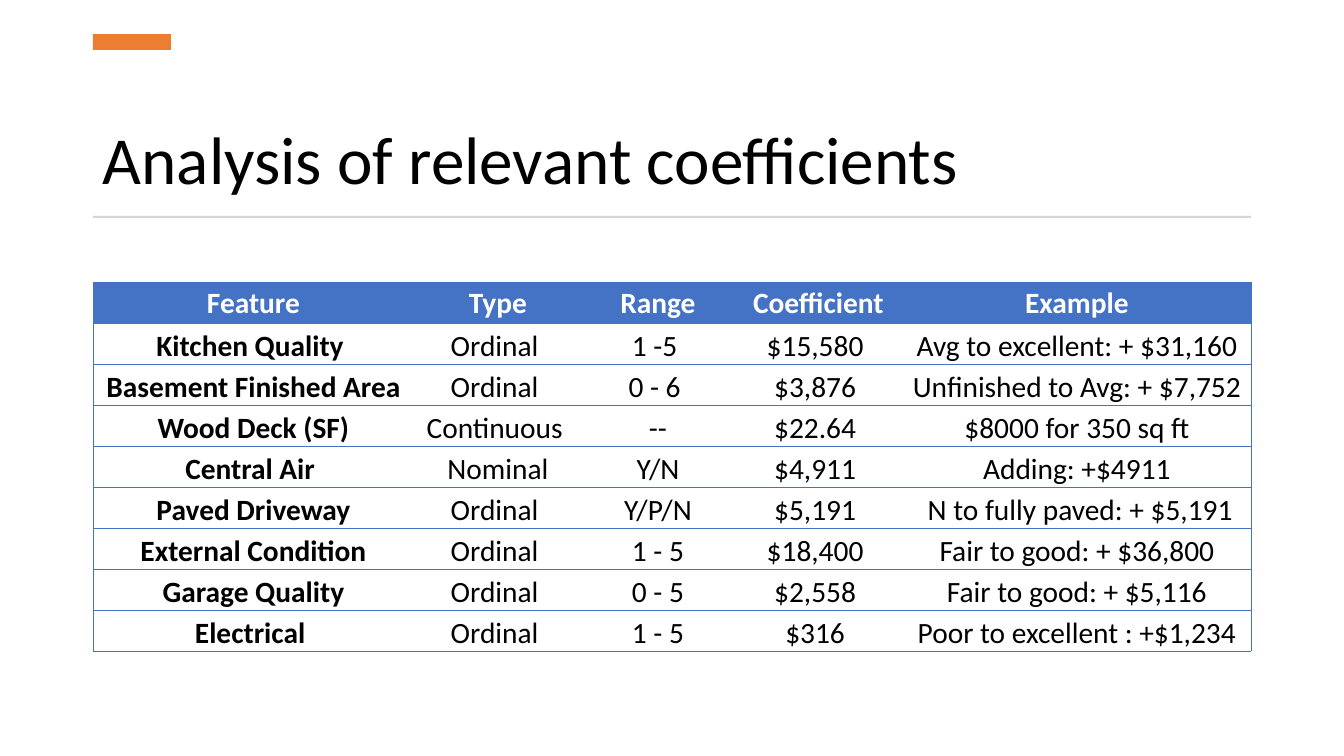
"""Build the slide with the table of relevant coefficients."""
from lxml.etree import SubElement
from pptx import Presentation
from pptx.dml.color import RGBColor
from pptx.enum.shapes import MSO_SHAPE
from pptx.enum.text import MSO_ANCHOR, PP_ALIGN
from pptx.oxml.ns import qn
from pptx.util import Pt

PX = 914400 / 100.8
COLORS = {"text": "000000", "white": "FFFFFF", "accent": "ED7D31",
          "rule": "D5D5D5", "table": "4472C4"}
LEFT, WIDTH, ROW_H = 93, 1158, 41
COL_W = [321, 168, 152, 169, 348]
ROWS = [
    ["Feature", "Type", "Range", "Coefficient", "Example"],
    ["Kitchen Quality ", "Ordinal ", "1 -5 ", "$15,580 ", "Avg to excellent: + $31,160"],
    ["Basement Finished Area", "Ordinal ", "0 - 6 ", "$3,876 ", "Unfinished to Avg: + $7,752"],
    ["Wood Deck (SF)", "Continuous ", "--", "$22.64 ", "$8000 for 350 sq ft"],
    ["Central Air ", "Nominal", "Y/N", "$4,911 ", "Adding: +$4911"],
    ["Paved Driveway", "Ordinal ", "Y/P/N", "$5,191 ", " N to fully paved: + $5,191"],
    ["External Condition", "Ordinal ", "1 - 5", "$18,400 ", "Fair to good: + $36,800"],
    ["Garage Quality", "Ordinal ", "0 - 5", "$2,558 ", "Fair to good: + $5,116"],
    ["Electrical ", "Ordinal ", "1 - 5", "$316 ", "Poor to excellent : +$1,234"],
]


def box(*lengths):
    return [round(n * PX) for n in lengths]


def write(p, text, color, **font):
    r = p.add_run()
    r.text = text
    r.font.color.rgb = RGBColor.from_string(COLORS[color])
    for name, value in {"name": "Calibri", **font}.items():
        setattr(r.font, name, value)


prs = Presentation()
prs.slide_width, prs.slide_height = box(1344, 756)
s = prs.slides.add_slide(prs.slide_layouts[6])

tf = s.shapes.add_textbox(*box(LEFT, 76, WIDTH, 128)).text_frame
tf.word_wrap = True
tf.vertical_anchor = MSO_ANCHOR.BOTTOM
tf.paragraphs[0].line_spacing = 0.9
write(tf.paragraphs[0], "Analysis of relevant coefficients", "text", size=Pt(48))

for color, top, width, height in [("accent", 34, 78, 16), ("rule", 216, WIDTH, 2)]:
    sp = s.shapes.add_shape(MSO_SHAPE.RECTANGLE, *box(LEFT, top, width, height))
    sp.shadow.inherit = False
    sp.fill.solid()
    sp.fill.fore_color.rgb = RGBColor.from_string(COLORS[color])
    sp.line.fill.background()

frame = s.shapes.add_table(len(ROWS), len(COL_W),
                           *box(LEFT, 282, WIDTH, ROW_H * len(ROWS)))
table = frame.table
table.horz_banding = False
for col, width in zip(table.columns, COL_W):
    col.width = round(width * PX)

for i, row in enumerate(ROWS):
    table.rows[i].height = round(ROW_H * PX)
    header = i == 0
    for j, text in enumerate(row):
        cell = table.cell(i, j)
        layout = {
            "vertical_anchor": MSO_ANCHOR.MIDDLE if header else MSO_ANCHOR.BOTTOM,
            "margin_left": round(2 * PX), "margin_right": round(2 * PX),
            "margin_top": round(2 * PX), "margin_bottom": 0,
        }
        for name, value in layout.items():
            setattr(cell, name, value)
        p = cell.text_frame.paragraphs[0]
        p.alignment = PP_ALIGN.CENTER
        write(p, text, "white" if header else "text", size=Pt(21), bold=header or j == 0)

        sides = {"L": j == 0, "R": j == len(row) - 1, "T": True, "B": True}
        for side, visible in sides.items():
            ln = SubElement(cell._tc.get_or_add_tcPr(), qn("a:ln" + side), w=str(Pt(0.5)))
            if visible:
                fill = SubElement(ln, qn("a:solidFill"))
                SubElement(fill, qn("a:srgbClr"), val=COLORS["table"])
            else:
                SubElement(ln, qn("a:noFill"))
        if header:
            cell.fill.solid()
            cell.fill.fore_color.rgb = RGBColor.from_string(COLORS["table"])
        else:
            cell.fill.background()

prs.save("out.pptx")
